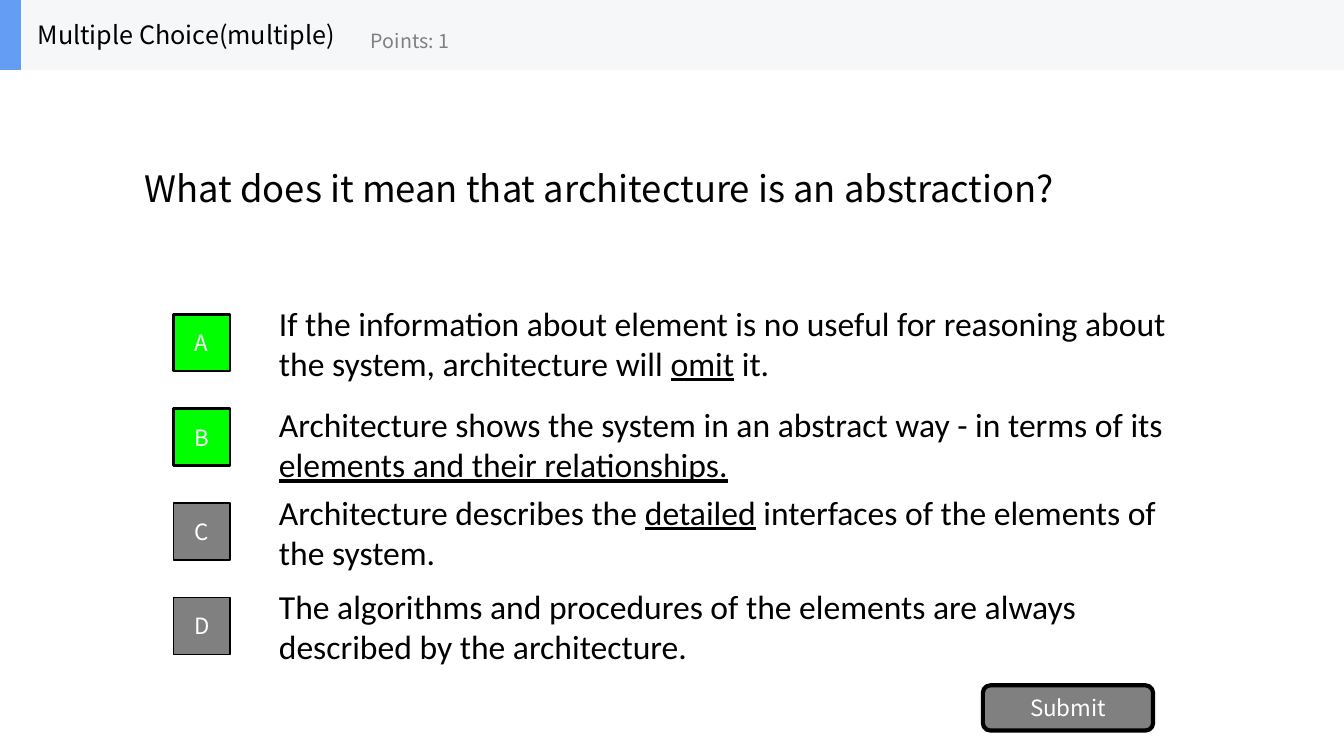
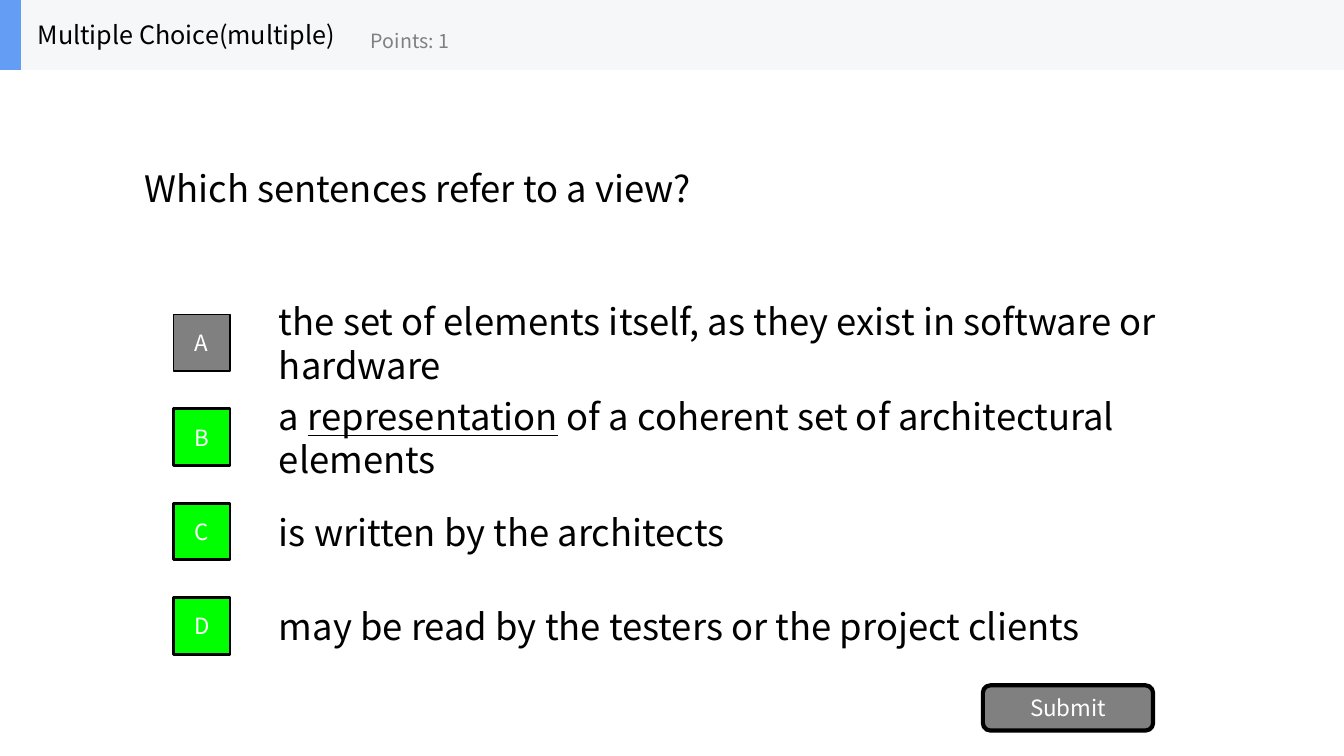
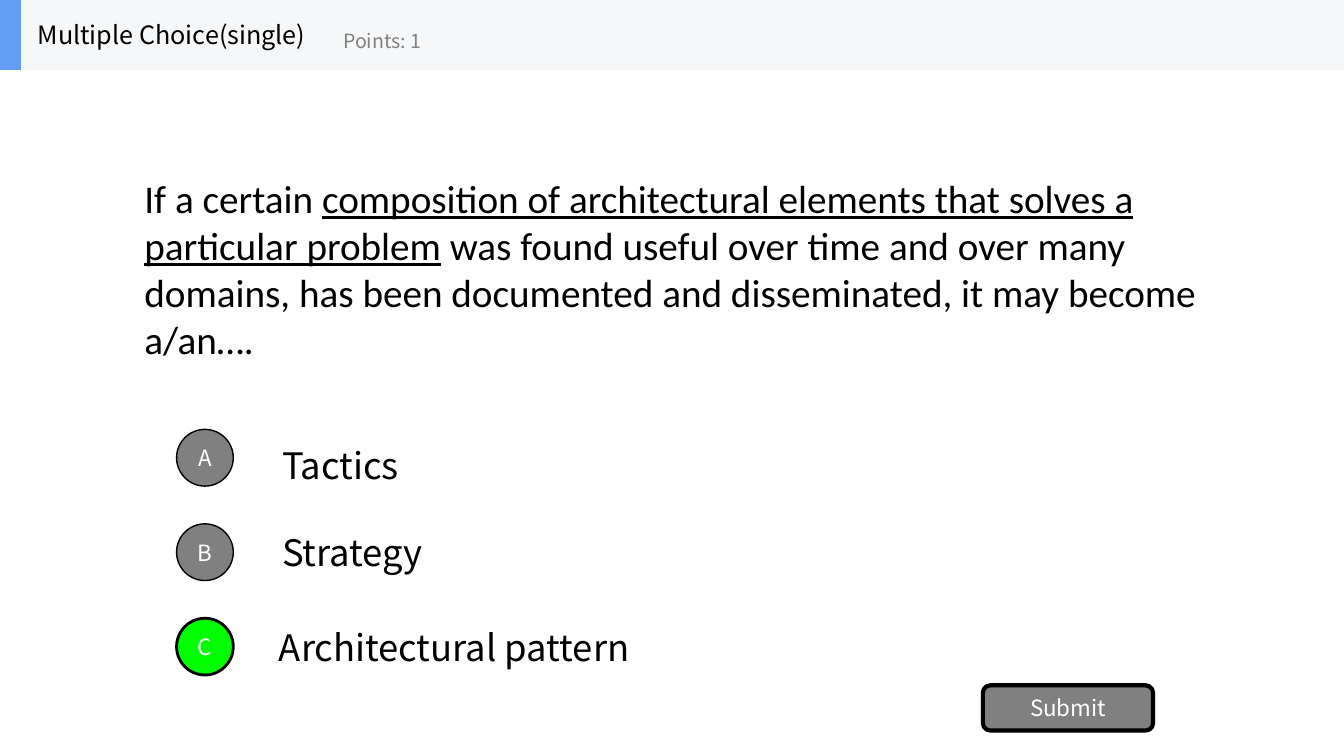
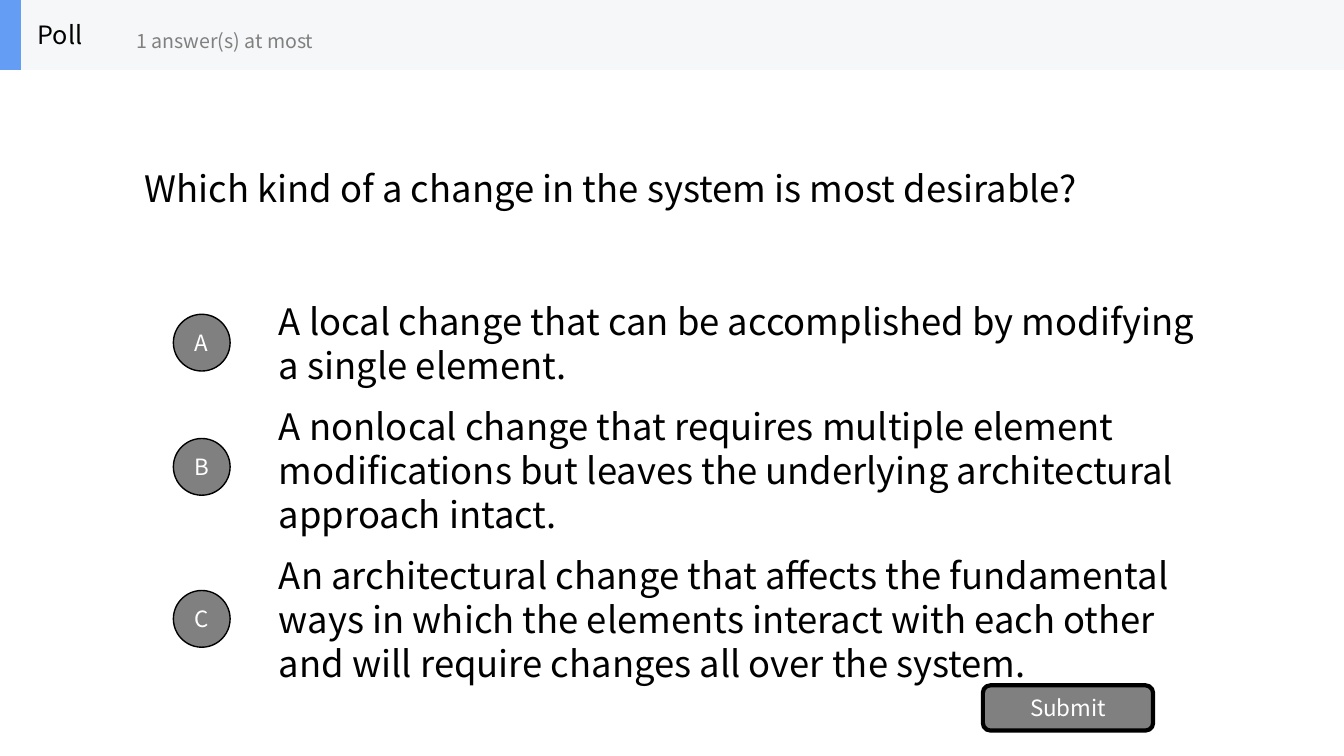
from dataclasses import dataclass

from pptx import Presentation
from pptx.dml.color import RGBColor
from pptx.enum.shapes import MSO_SHAPE
from pptx.enum.text import MSO_ANCHOR, PP_ALIGN
from pptx.util import Cm, Pt

BLACK = RGBColor(0x00, 0x00, 0x00)
WHITE = RGBColor(0xFF, 0xFF, 0xFF)
GREY = RGBColor(0x80, 0x80, 0x80)
GREEN = RGBColor(0x00, 0xFF, 0x00)
BAND = RGBColor(0xF6, 0xF7, 0xF8)
BLUE = RGBColor(0x63, 0x9E, 0xF4)

SANS = "Noto Sans CJK SC"
CALIBRI = "Calibri"

SLIDE_WIDTH = 33.87
SLIDE_HEIGHT = 19.05
BAND_HEIGHT = 1.76
BADGE_SIZE = 1.43
BADGE_LEFT = 4.37
FIRST_ROW = 7.92
ROW_PITCH = 2.38
ANSWER_OFFSET = 2.41
ANSWER_RISE = 0.17


@dataclass
class Option:
    wording: tuple
    correct: bool = False
    shift_right: float = 0
    shift_down: float = 0


class QuizDeck:
    def __init__(self):
        self.presentation = Presentation()
        self.presentation.slide_width = Cm(SLIDE_WIDTH)
        self.presentation.slide_height = Cm(SLIDE_HEIGHT)
        self.slide = None

    def new_slide(self):
        layout = self.presentation.slide_layouts[6]
        self.slide = self.presentation.slides.add_slide(layout)

    def text(self, left, top, width, height, wording, size,
             font=SANS, color=BLACK, wrap=True):
        box = self.slide.shapes.add_textbox(Cm(left), Cm(top), Cm(width), Cm(height))
        frame = box.text_frame
        frame.word_wrap = wrap
        frame.vertical_anchor = MSO_ANCHOR.MIDDLE
        paragraph = frame.paragraphs[0]
        for index, phrase in enumerate(wording):
            run = paragraph.add_run()
            run.text = phrase
            self.style(run.font, size, font, color)
            if index % 2:
                run.font.underline = True

    def style(self, font, size, name, color):
        font.size = Pt(size)
        font.name = name
        font.color.rgb = color

    def block(self, kind, left, top, width, height, fill, line_width=0, label=""):
        shape = self.slide.shapes.add_shape(
            kind, Cm(left), Cm(top), Cm(width), Cm(height))
        shape.shadow.inherit = False
        shape.fill.solid()
        shape.fill.fore_color.rgb = fill
        if line_width:
            shape.line.color.rgb = BLACK
            shape.line.width = Pt(line_width)
        else:
            shape.line.fill.background()
        if label:
            shape.text_frame.text = label
            shape.text_frame.vertical_anchor = MSO_ANCHOR.MIDDLE
            paragraph = shape.text_frame.paragraphs[0]
            paragraph.alignment = PP_ALIGN.CENTER
            self.style(paragraph.runs[0].font, 16, SANS, WHITE)

    def header(self, title, note, note_left):
        self.block(MSO_SHAPE.RECTANGLE, 0, 0, SLIDE_WIDTH, BAND_HEIGHT, BAND)
        self.block(MSO_SHAPE.RECTANGLE, 0, 0, 0.53, BAND_HEIGHT, BLUE)
        self.text(0.7, 0, 8.3, BAND_HEIGHT, (title,), 18, wrap=False)
        self.text(note_left, 0.32, 6.35, 1.41, (note,), 14, color=GREY, wrap=False)

    def question(self, wording, top=1.76, height=5.94, size=26, font=SANS):
        self.text(3.39, top, 27.1, height, wording, size, font)

    def options(self, kind, options, tops, left=BADGE_LEFT, size=26, font=SANS):
        for letter, option, top in zip("ABCD", options, tops):
            self.text(left + ANSWER_OFFSET + option.shift_right,
                      top - ANSWER_RISE + option.shift_down,
                      23.7, 1.78, option.wording, size, font)
            self.block(kind, left, top, BADGE_SIZE, BADGE_SIZE,
                       GREEN if option.correct else GREY,
                       2 if option.correct else 1, letter)

    def submit(self):
        self.block(MSO_SHAPE.ROUNDED_RECTANGLE, 24.77, 17.27, 4.29, 1.14,
                   GREY, 3, "Submit")


def rows(first, count):
    return [first + ROW_PITCH * index for index in range(count)]


def main():
    deck = QuizDeck()

    deck.new_slide()
    deck.question(("What does it mean that architecture is an abstraction?",))
    deck.options(MSO_SHAPE.RECTANGLE, [
        Option(("If the information about element is no useful for reasoning "
                "about the system, architecture will ", "omit", " it."), True),
        Option(("Architecture shows the system in an abstract way - in terms of its ",
                "elements and their relationships."), True, shift_down=0.17),
        Option(("Architecture describes the ", "detailed",
                " interfaces of the elements of the system.")),
        Option(("The algorithms and procedures of the elements are always "
                "described by the architecture.",)),
    ], rows(FIRST_ROW, 4), size=24, font=CALIBRI)
    deck.submit()
    deck.header("Multiple Choice(multiple)", "Points: 1", 9.1)

    deck.new_slide()
    deck.question(("Which sentences refer to a view?",))
    deck.options(MSO_SHAPE.RECTANGLE, [
        Option(("the set of elements itself, as they exist in software or hardware",)),
        Option(("a ", "representation",
                " of a coherent set of architectural elements"), True),
        Option(("is written by the architects",), True),
        Option(("may be read by the testers or the project clients",), True),
    ], rows(FIRST_ROW, 4))
    deck.submit()
    deck.header("Multiple Choice(multiple)", "Points: 1", 9.1)

    deck.new_slide()
    deck.question((
        "If a certain ",
        "composition of architectural elements that solves a particular problem",
        " was found useful over time and over many domains, has been documented "
        "and disseminated, it may become a/an….",
    ), top=4.06, height=5.41, size=28, font=CALIBRI)
    deck.options(MSO_SHAPE.OVAL, [
        Option(("Tactics",), shift_down=0.17),
        Option(("Strategy",)),
        Option(("Architectural pattern",), True, shift_right=-0.08),
    ], rows(10.82, 3), left=4.45)
    deck.submit()
    deck.header("Multiple Choice(single)", "Points: 1", 8.4)

    deck.new_slide()
    deck.question(("Which kind of a change in the system is most desirable?",))
    deck.options(MSO_SHAPE.OVAL, [
        Option(("A local change that can be accomplished by modifying "
                "a single element.",)),
        Option(("A nonlocal change that requires multiple element modifications "
                "but leaves the underlying architectural approach intact.",),
               shift_down=0.07),
        Option(("An architectural change that affects the fundamental ways in which "
                "the elements interact with each other and will require changes "
                "all over the system.",)),
    ], [FIRST_ROW, 11.05, 14.88])
    deck.submit()
    deck.header("Poll", "1 answer(s) at most", 3.18)

    deck.presentation.save("out.pptx")


if __name__ == "__main__":
    main()
